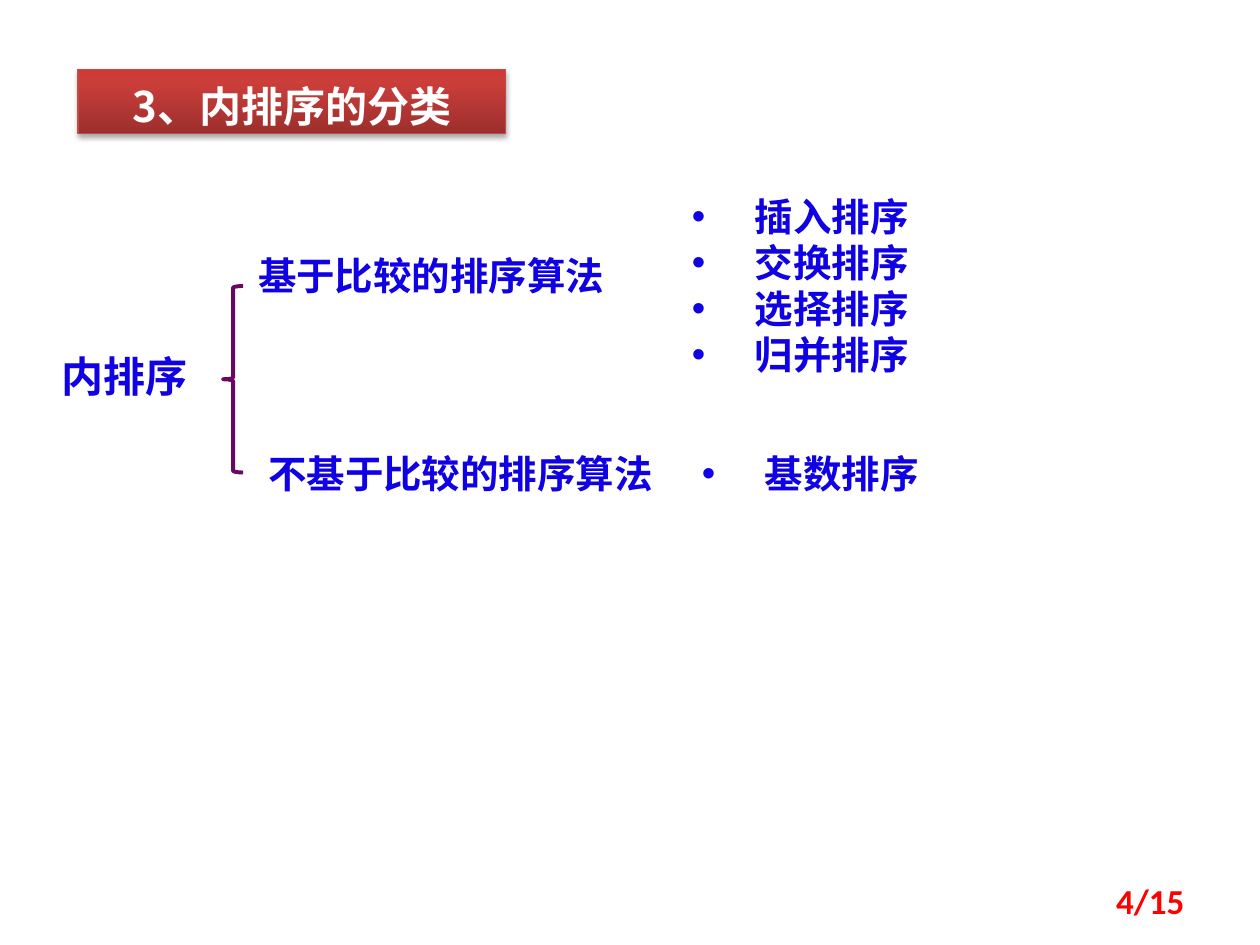
import copy
import pptx
import pptx.util
import pptx.dml.color
import pptx.enum.shapes
import pptx.enum.text
import pptx.oxml
import pptx.oxml.ns

BLUE = "1000E4"
ALIGN = pptx.enum.text.PP_ALIGN
ANCHOR = pptx.enum.text.MSO_ANCHOR
NAMESPACE = pptx.oxml.ns.nsdecls("a")

deck = pptx.Presentation()
deck.slide_width = pptx.util.Inches(10)
deck.slide_height = pptx.util.Inches(7.5)
column = deck.slide_width // 100
row = deck.slide_height // 75
page = deck.slides.add_slide(deck.slide_layouts[3])
title, comparison_list, other_list = page.placeholders


def color(value):
    return pptx.dml.color.RGBColor.from_string(value)


def write(box, place, lines, size, font="Times New Roman", ink=BLUE,
          align=ALIGN.LEFT, anchor=ANCHOR.TOP, bullets=False, spacing=1.0):
    left, top, width, height = place
    box.left, box.width = int(left * column), int(width * column)
    box.top, box.height = int(top * row), int(height * row)
    frame = box.text_frame
    frame.word_wrap = True
    frame.auto_size = pptx.enum.text.MSO_AUTO_SIZE.NONE
    frame.vertical_anchor = anchor
    for index, line in enumerate(lines):
        para = frame.add_paragraph() if index else frame.paragraphs[0]
        para.alignment = align
        para.line_spacing = spacing
        para.space_before = pptx.util.Pt(0)
        if bullets:
            properties = para._p.get_or_add_pPr()
            properties.set("marL", str(5 * column))
            properties.set("indent", str(-5 * column))
            for tag in ('buFont {} typeface="Arial"', 'buChar {} char="•"'):
                properties.append(pptx.oxml.parse_xml(f"<a:{tag.format(NAMESPACE)}/>"))
        span = para.add_run()
        span.text = line
        span.font.name = font
        span.font.size = pptx.util.Pt(size)
        span.font.bold = True
        span.font.color.rgb = color(ink)
        span.font._element.find(pptx.oxml.ns.qn("a:latin")).addnext(
            pptx.oxml.parse_xml(f'<a:ea {NAMESPACE} typeface="Noto Sans CJK SC"/>'))


write(title, (6.2, 5.5, 33.9, 5.1), ["3、内排序的分类"], 24,
      font="Noto Sans CJK SC", ink="FFFFFF", align=ALIGN.CENTER, spacing=1.1)
title.fill.gradient()
title.fill.gradient_angle = 90
stop_list = title._element.spPr.find(".//" + pptx.oxml.ns.qn("a:gsLst"))
stop_list.append(copy.deepcopy(stop_list[-1]))
shades = [(0, "9C2F2D"), (0.8, "CB3E3A"), (1, "CE3B37")]
for stop, (position, shade) in zip(title.fill.gradient_stops, shades):
    stop.position = position
    stop.color.rgb = color(shade)
title.line.color.rgb = color("BF4C48")
title.line.width = pptx.util.Pt(0.75)
title._element.spPr.append(pptx.oxml.parse_xml(
    f'<a:effectLst {NAMESPACE}><a:outerShdw blurRad="39370" dist="22860" '
    'dir="5400000" rotWithShape="0"><a:srgbClr val="000000">'
    '<a:alpha val="35000"/></a:srgbClr></a:outerShdw></a:effectLst>'))

labels = [
    ("内排序", 24, (3.9, 27.3, 13.3, 5)),
    ("基于比较的排序算法", 22, (19.5, 19.5, 31.3, 4.7)),
    ("不基于比较的排序算法", 22, (20.3, 35.2, 32.8, 4.7)),
]
for label, size, place in labels:
    write(page.shapes.add_textbox(0, 0, 0, 0), place, [label], size)

write(comparison_list, (53.9, 14.8, 19.5, 15.8),
      ["插入排序", "交换排序", "选择排序", "归并排序"], 22, bullets=True)
write(other_list, (54.7, 35.2, 20.3, 4.7), ["基数排序"], 22, bullets=True)

brace = page.shapes.add_shape(
    pptx.enum.shapes.MSO_SHAPE.LEFT_BRACE,
    int(17.7 * column), int(22.7 * row), int(1.6 * column), int(14.8 * row))
brace.shadow.inherit = False
brace.fill.background()
brace.line.color.rgb = color("690764")
brace.line.width = pptx.util.Pt(2.25)

write(page.shapes.add_textbox(0, 0, 0, 0), (71.7, 69.5, 23.3, 4), ["4/15"], 20,
      font="Calibri", ink="FF0000", align=ALIGN.RIGHT, anchor=ANCHOR.MIDDLE)

deck.save("out.pptx")
